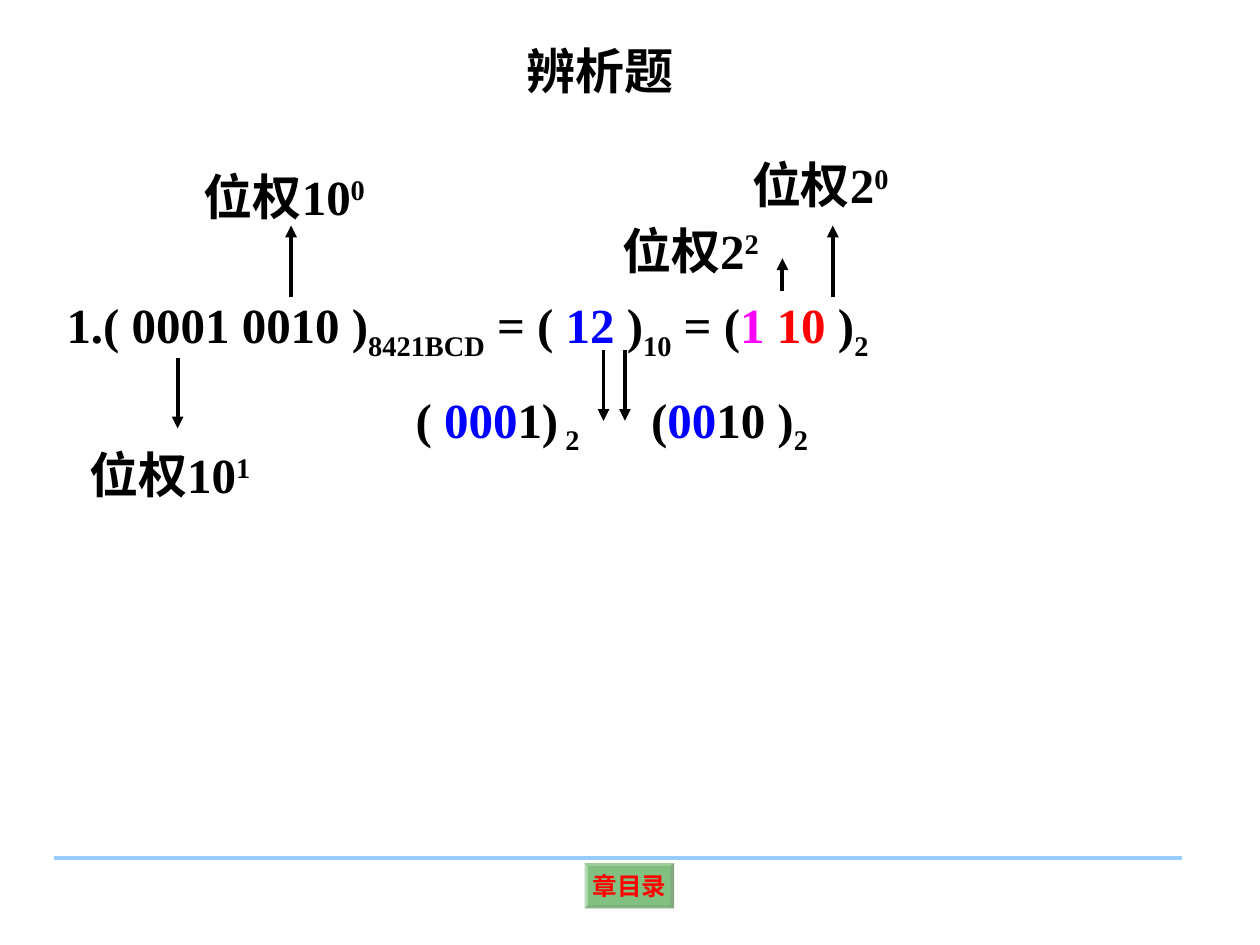
from lxml.etree import SubElement
from pptx import Presentation
from pptx.dml.color import RGBColor
from pptx.enum.shapes import MSO_CONNECTOR, MSO_SHAPE
from pptx.enum.text import MSO_ANCHOR, MSO_AUTO_SIZE, PP_ALIGN
from pptx.oxml.ns import qn
from pptx.util import Inches, Pt

COLORS = {
    "black": "000000", "blue": "0000FF", "magenta": "FF00FF", "red": "FF0000",
    "green": "008000", "sky": "99CCFF",
}
FONT = "Times New Roman"
COLUMNS, ROWS = 100, 75
SUB, SUPER = -25, 30
LABEL_HEIGHT, FORMULA_HEIGHT = 5.7, 6.3  # rows

# Runs are (text, color, baseline shift in percent).
TITLE = ((40.8, 2.7, 16.3), [("辨析题", "black", 0)])

# Column, row, base and exponent of each place-value label
WEIGHTS = [
    (15.2, 12.7, "10", "0"),
    (58.7, 11.8, "2", "0"),
    (48.4, 17, "2", "2"),
    (6.1, 34.8, "10", "1"),
]
WEIGHT_WIDTH = 16.9

FORMULAS = [
    ((4.3, 22.9, 84.7), [
        ("1.( 0001 0010 )", "black", 0), ("8421BCD", "black", SUB),
        (" = ( ", "black", 0), ("12 ", "blue", 0), (")", "black", 0),
        ("10", "black", SUB), (" = (", "black", 0), ("1", "magenta", 0),
        (" 10", "red", 0), (" )", "black", 0), ("2", "black", SUB),
    ]),
    ((32, 30.4, 16.9), [
        ("( ", "black", 0), ("000", "blue", 0), ("1)", "black", 0),
        (" 2", "black", SUB),
    ]),
    ((50.7, 30.4, 15.7), [
        ("(", "black", 0), ("00", "blue", 0), ("10 )", "black", 0),
        ("2", "black", SUB),
    ]),
]

# Column, start row and end row of each vertical arrow
ARROWS = [
    (47.9, 27.8, 33.4), (49.6, 27.8, 33.4), (14.1, 28.4, 34),
    (66.1, 23.6, 17.9), (62.1, 23.1, 20.5), (23.1, 23.6, 17.9),
]
FOOTER_LINE = (4.3, 68.1, 93.8, 68.1)
BUTTON = (46.4, 68.5, 7.1, 3.6)

deck = Presentation()
deck.slide_width, deck.slide_height = Inches(10), Inches(7.5)
page = deck.slides.add_slide(deck.slide_layouts[6])


def place(*cells):
    """Turn alternating column and row counts into slide lengths."""
    units = (deck.slide_width / COLUMNS, deck.slide_height / ROWS)
    return [round(cell * units[i % 2]) for i, cell in enumerate(cells)]


def rgb(color):
    return RGBColor.from_string(COLORS[color])


def write(para, runs, size):
    for text, color, shift in runs:
        span = para.add_run()
        span.text = text
        for name, value in {"name": FONT, "size": Pt(size), "bold": True}.items():
            setattr(span.font, name, value)
        span.font.color.rgb = rgb(color)
        if shift:
            span.font._element.set("baseline", str(shift * 1000))


def add_text(left, top, width, height, runs):
    box = page.shapes.add_textbox(*place(left, top, width, height))
    box.text_frame.word_wrap = True
    box.text_frame.auto_size = MSO_AUTO_SIZE.SHAPE_TO_FIT_TEXT
    write(box.text_frame.paragraphs[0], runs, 28)


def add_line(cells, color, arrow=False):
    line = page.shapes.add_connector(MSO_CONNECTOR.STRAIGHT, *place(*cells))
    line.line.width = Pt(2.25)
    line.line.color.rgb = rgb(color)
    if arrow:
        SubElement(line.line._get_or_add_ln(), qn("a:tailEnd"), type="triangle")
    SubElement(line._element.spPr, qn("a:effectLst"))


def add_button(cells, label):
    button = page.shapes.add_shape(MSO_SHAPE.BEVEL, *place(*cells))
    button.shadow.inherit = False
    button.adjustments[0] = 0.07
    button.fill.solid()
    button.fill.fore_color.rgb = rgb("green")
    shade = button._element.spPr.find(qn("a:solidFill"))[0]
    SubElement(shade, qn("a:alpha"), val="49000")
    button.line.fill.background()
    frame = button.text_frame
    settings = {"word_wrap": False, "vertical_anchor": MSO_ANCHOR.MIDDLE}
    for side in ("left", "right", "top", "bottom"):
        settings[f"margin_{side}"] = Inches(0.04)
    for name, value in settings.items():
        setattr(frame, name, value)
    para = frame.paragraphs[0]
    para.alignment = PP_ALIGN.CENTER
    write(para, [(label, "red", 0)], 14)


add_button(BUTTON, "章目录")
add_line(FOOTER_LINE, "sky")
add_text(*TITLE[0], LABEL_HEIGHT, TITLE[1])
for cells, runs in FORMULAS:
    add_text(*cells, FORMULA_HEIGHT, runs)
for column, row, base, exponent in WEIGHTS:
    runs = [("位权" + base, "black", 0), (exponent, "black", SUPER)]
    add_text(column, row, WEIGHT_WIDTH, LABEL_HEIGHT, runs)
for column, start, end in ARROWS:
    add_line((column, start, column, end), "black", arrow=True)

deck.save("out.pptx")
